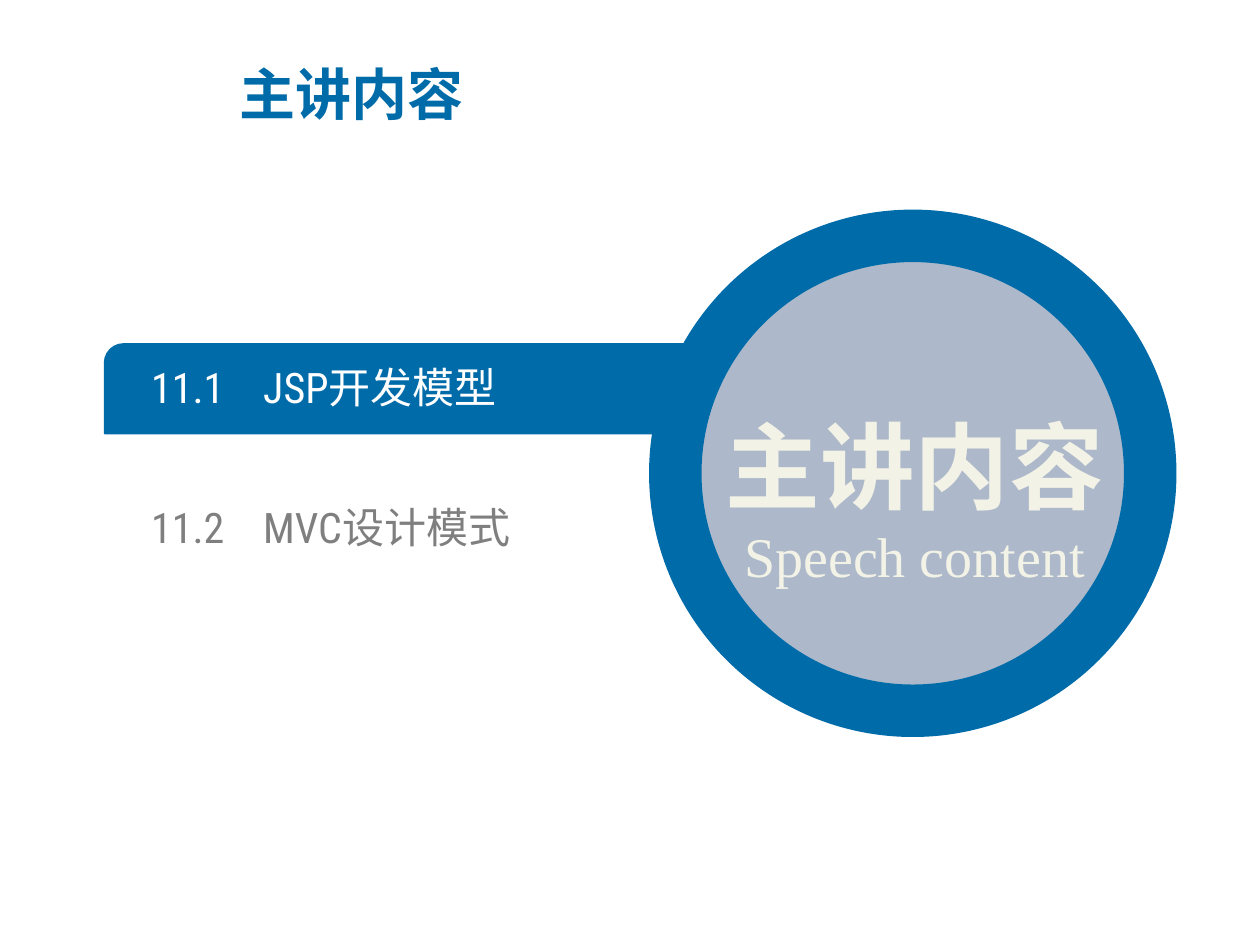
from lxml.etree import SubElement
from pptx import Presentation
from pptx.dml.color import RGBColor
from pptx.enum.shapes import MSO_SHAPE as Shape
from pptx.enum.text import MSO_ANCHOR as Anchor, PP_ALIGN as Align
from pptx.oxml.ns import qn
from pptx.util import Pt

BLUE = RGBColor(0x00, 0x6B, 0xA9)
DISC = RGBColor(0xAD, 0xB9, 0xCA)
CREAM = RGBColor(0xF2, 0xF2, 0xE6)
GRAY = RGBColor(0x7F, 0x7F, 0x7F)
WHITE = RGBColor(0xFF, 0xFF, 0xFF)
CJK, LATIN, SERIF = "Noto Sans CJK SC", "Roboto Condensed", "Times New Roman"

HEADING = "主讲内容"
SUBHEADING = "Speech content"
TOPICS = [("11.1", "JSP开发模型", WHITE), ("11.2", "MVC设计模式", GRAY)]

TOPIC_LEFT, TOPIC_TOP, TOPIC_STEP = 86.4, 206.6, 80
TOPIC_WIDTH, TOPIC_HEIGHT = 301.7, 28.8
NUMBER_WIDTH = 64


def add_panel(slide, kind, box, fill, line_width):
    panel = slide.shapes.add_shape(kind, *map(Pt, box))
    panel.shadow.inherit = False
    panel.fill.solid()
    panel.fill.fore_color.rgb = fill
    panel.line.color.rgb = BLUE
    panel.line.width = Pt(line_width)
    return panel


def add_text(slide, box, lines, align=Align.LEFT, inset=None):
    """Add a text box; each line is (text, size, font, color, bold)."""
    frame = slide.shapes.add_textbox(*map(Pt, box)).text_frame
    frame.word_wrap = True
    frame.vertical_anchor = Anchor.MIDDLE
    if inset is not None:
        frame.margin_left = frame.margin_right = Pt(inset)
        frame.margin_top = frame.margin_bottom = Pt(inset)
    frame.text = "\n".join(line[0] for line in lines)
    for paragraph, (_, size, font, color, bold) in zip(frame.paragraphs, lines):
        paragraph.alignment = align
        for run in paragraph.runs:
            run.font.size = Pt(size)
            run.font.name = font
            run.font.bold = bold
            run.font.color.rgb = color
            east_asian = SubElement(run.font._element, qn("a:ea"))
            east_asian.set("typeface", CJK)
    return frame


def add_tab_stop(paragraph, position):
    stops = SubElement(paragraph._p.get_or_add_pPr(), qn("a:tabLst"))
    SubElement(stops, qn("a:tab"), pos=str(Pt(position)), algn="l")


def main():
    deck = Presentation()
    deck.slide_width, deck.slide_height = Pt(720), Pt(540)
    slide = deck.slides.add_slide(deck.slide_layouts[6])

    bar = add_panel(slide, Shape.ROUND_2_DIAG_RECTANGLE,
                    (59.8, 196.6, 385.2, 51.1), BLUE, 1)
    bar.adjustments[0], bar.adjustments[1] = 0.21, 0

    for row, (number, topic, color) in enumerate(TOPICS):
        box = (TOPIC_LEFT, TOPIC_TOP + row * TOPIC_STEP,
               TOPIC_WIDTH, TOPIC_HEIGHT)
        line = (f"{number}\t{topic}", 24, LATIN, color, False)
        frame = add_text(slide, box, [line], inset=0)
        add_tab_stop(frame.paragraphs[0], NUMBER_WIDTH)

    add_panel(slide, Shape.OVAL, (385.9, 134.8, 271.4, 271.4), DISC, 30)
    emblem = add_text(slide, (382.3, 196.6, 280.8, 144),
                      [(HEADING, 54, CJK, CREAM, True),
                       (SUBHEADING, 32, SERIF, CREAM, False)], Align.CENTER)
    emblem.paragraphs[0].line_spacing = 1.5

    add_text(slide, (129.6, 31, 389.5, 43.9),
             [(HEADING, 32, CJK, BLUE, True)])

    deck.save("out.pptx")


if __name__ == "__main__":
    main()
